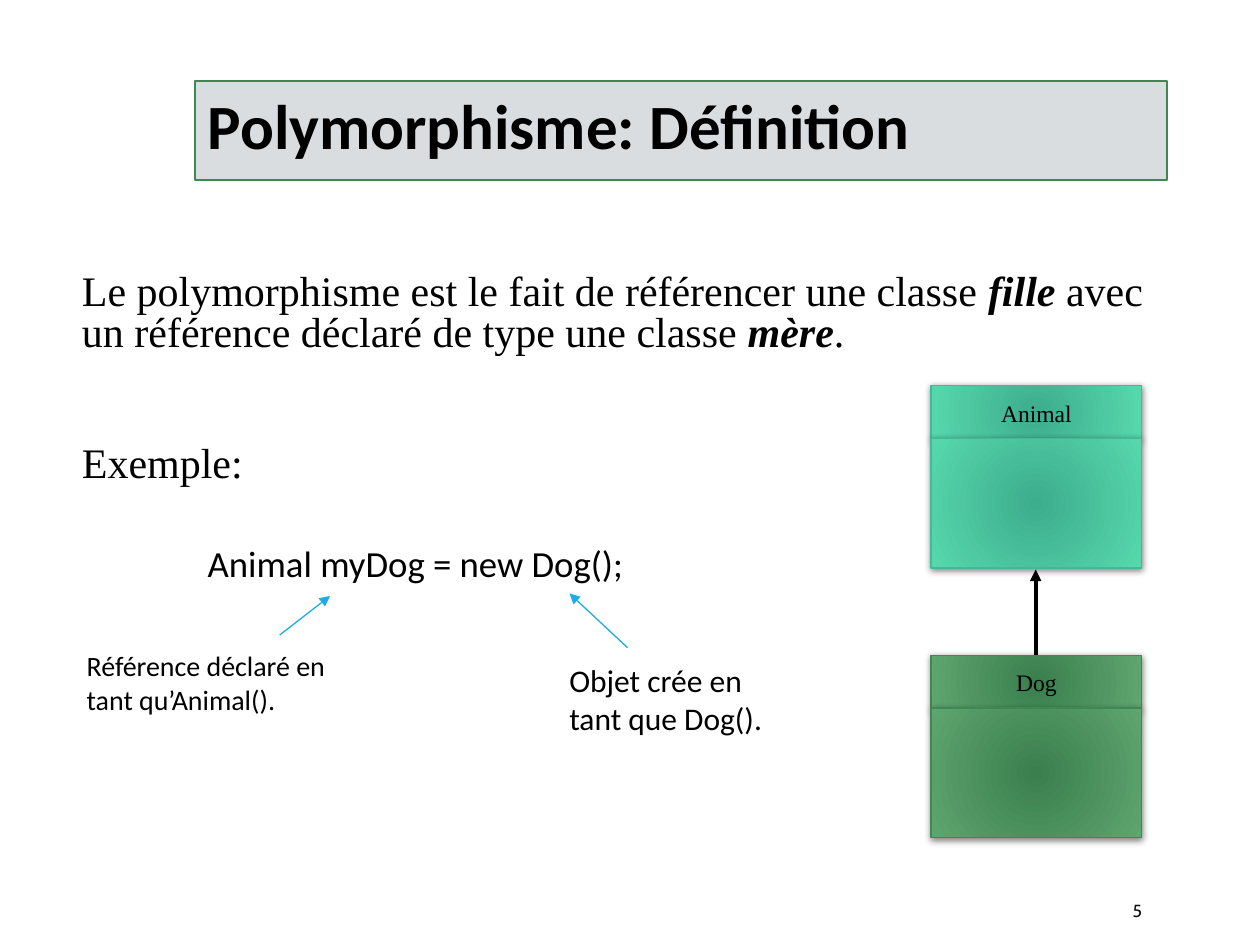
from dataclasses import dataclass
from typing import Any

from lxml.etree import SubElement
from pptx import Presentation
from pptx.dml.color import RGBColor
from pptx.enum.shapes import MSO_CONNECTOR as Connector, MSO_SHAPE as Preset
from pptx.enum.text import MSO_ANCHOR as Anchor, MSO_AUTO_SIZE as AutoSize, PP_ALIGN as Align
from pptx.oxml.ns import qn
from pptx.util import Inches, Pt


def color(hex_string):
    return RGBColor.from_string(hex_string)


def add_xml(parent, tag, **attributes):
    return SubElement(parent, qn(tag), {name: str(value) for name, value in attributes.items()})


def place(shape, left, top, width, height):
    shape.left, shape.top = Inches(left), Inches(top)
    shape.width, shape.height = Inches(width), Inches(height)


@dataclass
class ClassSlide:
    slide: Any
    sans: str = "Calibri"
    serif: str = "Times New Roman"
    number_font: str = "Cabin"
    ink: str = "000000"
    accent: str = "1CADE4"

    def run(self, paragraph, text, size, font, ink=None, bold=False, italic=False):
        run = paragraph.add_run()
        run.text = text
        run.font.size, run.font.name = Pt(size), font
        run.font.bold, run.font.italic = bold, italic
        run.font.color.rgb = color(ink or self.ink)

    def title(self, text, *box):
        title = self.slide.shapes.title
        place(title, *box)
        title.fill.solid()
        title.fill.fore_color.rgb = color("A1ACB2")
        tint = title.fill._xPr.find(qn("a:solidFill"))[0]
        add_xml(tint, "a:alpha", val=40000)
        title.line.color.rgb = color("3E8853")
        title.line.width = Pt(1.25)
        frame = title.text_frame
        frame.auto_size, frame.vertical_anchor = AutoSize.NONE, Anchor.TOP
        frame.paragraphs[0].alignment = Align.LEFT
        self.run(frame.paragraphs[0], text, 36, self.sans, bold=True)

    def body(self, paragraphs, *box):
        """Each paragraph is (space before, [(text, emphasised), ...])."""
        body = self.slide.placeholders[1]
        place(body, *box)
        frame = body.text_frame
        frame.auto_size = AutoSize.NONE
        frame.margin_left = frame.margin_right = Inches(0.05)
        frame.margin_top = frame.margin_bottom = Inches(0.05)
        for index, (space_before, runs) in enumerate(paragraphs):
            paragraph = frame.add_paragraph() if index else frame.paragraphs[0]
            paragraph.line_spacing = 0.8
            paragraph.space_before, paragraph.space_after = Pt(space_before), Pt(2)
            properties = paragraph._p.get_or_add_pPr()
            properties.set("marL", str(Inches(0.1)))
            properties.set("indent", "0")
            add_xml(properties, "a:buNone")
            for text, emphasised in runs:
                self.run(paragraph, text, 24, self.serif, bold=emphasised, italic=emphasised)

    def text(self, lines, size, *box, font=None, ink=None, anchor=Anchor.TOP):
        left, top, width, height = map(Inches, box)
        frame = self.slide.shapes.add_textbox(left, top, width, height).text_frame
        frame.word_wrap, frame.vertical_anchor = True, anchor
        for index, line in enumerate(lines):
            paragraph = frame.add_paragraph() if index else frame.paragraphs[0]
            self.run(paragraph, line, size, font or self.sans, ink)

    def arrow(self, start, end, ink=None, width=0.75):
        arrow = self.slide.shapes.add_connector(
            Connector.STRAIGHT, *map(Inches, (*start, *end)))
        arrow.line.color.rgb = color(ink or self.accent)
        arrow.line.width = Pt(width)
        add_xml(arrow.line._get_or_add_ln(), "a:tailEnd", type="triangle")
        add_xml(arrow._element.spPr, "a:effectLst")

    def compartment(self, group, box, center, edge, outline):
        """Rectangle with a radial gradient and a soft shadow."""
        shape = group.shapes.add_shape(Preset.RECTANGLE, *map(Inches, box))
        shape.fill.gradient()
        for stop, shade in zip(shape.fill.gradient_stops, (center, edge)):
            stop.color.rgb = color(shade)
        properties = shape._element.spPr
        gradient = properties.find(qn("a:gradFill"))
        gradient.remove(gradient.find(qn("a:lin")))
        radial = add_xml(gradient, "a:path", path="circle")
        add_xml(radial, "a:fillToRect", l=100000, t=100000, r=100000, b=100000)
        shape.line.color.rgb = color(outline)
        shape.line.width = Pt(0.75)
        shape.shadow.inherit = False
        shadow = add_xml(properties.find(qn("a:effectLst")), "a:outerShdw",
                         blurRad=Pt(4), dist=Pt(1), dir=90 * 60000, rotWithShape=0)
        add_xml(add_xml(shadow, "a:srgbClr", val=self.ink), "a:alpha", val=50000)
        return shape

    def class_box(self, name, top, *shades):
        left, width, header = 7.39, 1.67, 0.43
        group = self.slide.shapes.add_group_shape()
        heading = self.compartment(group, (left, top, width, header), *shades)
        self.compartment(group, (left, top + 0.42, width, 1.03), *shades)
        frame = heading.text_frame
        frame.vertical_anchor = Anchor.MIDDLE
        frame.paragraphs[0].alignment = Align.CENTER
        self.run(frame.paragraphs[0], name, 13.5, self.serif)


def main():
    deck = Presentation()
    deck.slide_width, deck.slide_height = Inches(10), Inches(7.5)
    page = ClassSlide(deck.slides.add_slide(deck.slide_layouts[1]))

    page.title("Polymorphisme: Définition", 1.55, 0.64, 7.71, 0.79)
    definition = [
        ("Le polymorphisme est le fait de référencer une classe ", False),
        ("fille", True),
        (" avec un référence déclaré de type une classe ", False),
        ("mère", True),
        (".", False),
    ]
    page.body([(12, definition), (50, [("Exemple:", False)])], 0.5, 2.13, 9, 1.87)

    page.class_box("Animal", 3.06, "3DAD8D", "57D8AC", "42BA97")
    page.class_box("Dog", 5.2, "3A7F4D", "5FA56F", "3E8853")
    page.arrow((8.22, 5.2), (8.22, 4.52), ink=page.ink, width=2.25)

    page.text(["Animal myDog = new Dog();"], 21, 1.55, 4.24, 4.36, 0.45)
    page.arrow((2.22, 5.04), (2.62, 4.73))
    page.text(["Référence déclaré en", "tant qu’Animal()."], 16, 0.59, 5.1, 2.64, 0.64)
    page.arrow((4.98, 5.14), (4.52, 4.71))
    page.text(["Objet crée en", "tant que Dog()."], 18, 4.42, 5.2, 2.31, 0.71)
    page.text(["5"], 10, 8.89, 7.08, 0.8, 0.3,
              font=page.number_font, ink="0D0D0D", anchor=Anchor.MIDDLE)

    deck.save("out.pptx")


if __name__ == "__main__":
    main()
